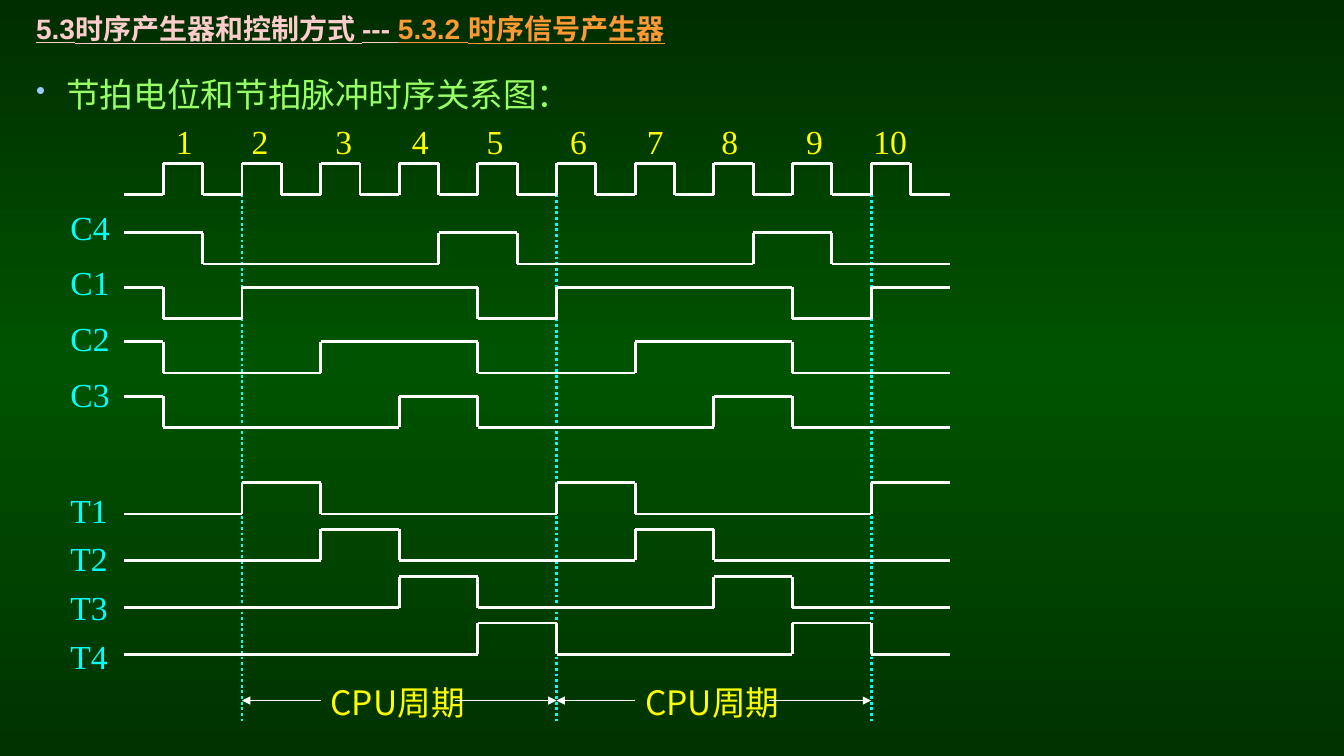
import copy
from dataclasses import dataclass

from lxml import etree
from pptx import Presentation
from pptx import util as u
from pptx.dml import color as dml
from pptx.enum import dml as line_styles, shapes, text
from pptx.oxml import ns

SCALE = 9144  # EMU in one px, 100 px to the inch
COLOURS = {
    "edge": "002E00", "middle": "005300", "bottom": "003300",
    "chapter": "FFCCCC", "section": "FF9933",
    "bullet": "99CCFF", "heading": "99FF66",
    "wave": "FFFFFF", "signal": "00FFFF", "number": "FFFF00",
}
SERIF, SANS, CHINESE = "Times New Roman", "Arial", "Noto Sans CJK SC"

# Time axis: half clock periods, numbered from the left end of the waves
WAVE_LEFT, HALF_PERIOD, LAST_STEP, WAVE_HEIGHT = 123, 39, 21, 31
CYCLE_STARTS = (3, 11, 19)
NUMBER_TABS = (66, 141, 224, 300, 374, 457, 533, 607, 691, 766)


@dataclass(frozen=True)
class Wave:
    top: int
    starts_high: bool
    toggles: tuple[int, ...]


@dataclass(frozen=True)
class Run:
    words: str
    colour: str
    font: str = SERIF
    size: int = 24
    bold: bool = False
    underline: bool = False


@dataclass(frozen=True)
class Line:
    runs: tuple[Run, ...]
    before: int = 0


WAVES = (
    Wave(162, False, tuple(range(1, LAST_STEP))),  # clock
    Wave(231, True, (2, 8, 10, 16, 18)),           # C4
    Wave(285, True, (1, 3, 9, 11, 17, 19)),        # C1
    Wave(339, True, (1, 5, 9, 13, 17)),            # C2
    Wave(393, True, (1, 7, 9, 15, 17)),            # C3
    Wave(479, False, (3, 5, 11, 13, 19)),          # T1
    Wave(525, False, (5, 7, 13, 15)),              # T2
    Wave(572, False, (7, 9, 15, 17)),              # T3
    Wave(618, False, (9, 11, 17, 19)),             # T4
)
# Signal names with the space before each, in points
SIGNALS = {"C4": 3, "C1": 11, "C2": 11, "C3": 11,
           "T1": 54, "T2": 6, "T3": 6, "T4": 6}


def px(length: int) -> u.Emu:
    return u.Emu(length * SCALE)


def rgb(name: str) -> dml.RGBColor:
    return dml.RGBColor.from_string(COLOURS[name])


def step_x(step: int) -> int:
    return WAVE_LEFT + HALF_PERIOD * step


def add_element(parent: etree._Element, tag: str, **attributes: str) -> etree._Element:
    return etree.SubElement(parent, ns.qn(tag), attributes)


def paint_background(slide) -> None:
    fill = slide.background.fill
    fill.gradient()
    fill.gradient_angle = 270
    stops = slide.element.find(".//" + ns.qn("a:gsLst"))
    stops.append(copy.deepcopy(stops[-1]))
    levels = (("edge", 0), ("middle", 0.48), ("bottom", 1))
    for stop, (name, position) in zip(fill.gradient_stops, levels):
        stop.color.rgb = rgb(name)
        stop.position = position


def add_text(slide, left: int, top: int, width: int, height: int,
             lines: list[Line], anchor=text.MSO_ANCHOR.TOP):
    shape = slide.shapes.add_textbox(px(left), px(top), px(width), px(height))
    frame = shape.text_frame
    frame.word_wrap = True
    frame.vertical_anchor = anchor
    for index, line in enumerate(lines):
        paragraph = frame.add_paragraph() if index else frame.paragraphs[0]
        paragraph.space_before = u.Pt(line.before)
        for item in line.runs:
            run = paragraph.add_run()
            run.text = item.words
            run.font.color.rgb = rgb(item.colour)
            formats = {"name": item.font, "size": u.Pt(item.size),
                       "bold": item.bold, "underline": item.underline}
            for attribute, value in formats.items():
                setattr(run.font, attribute, value)
            add_element(run.font._element, "a:ea", typeface=CHINESE)
    return frame


def add_line(slide, x1: int, y1: int, x2: int, y2: int, colour: str = "wave",
             width: float = 2, dash=None, arrow: bool = False) -> None:
    connector = slide.shapes.add_connector(
        shapes.MSO_CONNECTOR.STRAIGHT, px(x1), px(y1), px(x2), px(y2))
    connector.line.color.rgb = rgb(colour)
    formats = {"width": u.Pt(width), "dash_style": dash}
    for attribute, value in formats.items():
        setattr(connector.line, attribute, value)
    if arrow:
        outline = connector._element.spPr.find(ns.qn("a:ln"))
        add_element(outline, "a:tailEnd", type="triangle")
    add_element(connector._element.spPr, "a:effectLst")


def draw_wave(slide, wave: Wave) -> None:
    levels = {True: wave.top, False: wave.top + WAVE_HEIGHT}
    high, start = wave.starts_high, 0
    for step in (*wave.toggles, LAST_STEP):
        x = step_x(step)
        add_line(slide, step_x(start), levels[high], x, levels[high])
        if step < LAST_STEP:
            add_line(slide, x, levels[high], x, levels[not high])
        high, start = not high, step


def draw_headings(slide) -> None:
    style = {"font": SANS, "size": 20, "bold": True, "underline": True}
    add_text(slide, 26, 6, 969, 44, [Line((
        Run("5.3时序产生器和控制方式 --- ", "chapter", **style),
        Run("5.3.2 时序信号产生器", "section", **style),
    ))], text.MSO_ANCHOR.MIDDLE)

    frame = add_text(slide, 26, 68, 1281, 661,
                     [Line((Run("节拍电位和节拍脉冲时序关系图：", "heading"),))])
    properties = frame.paragraphs[0]._p.get_or_add_pPr()
    properties.set("marL", str(px(30)))
    properties.set("indent", str(px(-30)))
    bullet_colour = add_element(properties, "a:buClr")
    add_element(bullet_colour, "a:srgbClr", val=COLOURS["bullet"])
    add_element(properties, "a:buSzPct", val="80000")
    add_element(properties, "a:buChar", char="•")


def draw_labels(slide) -> None:
    # Clock pulse numbers, centred on tab stops
    numbers = "".join(f"\t{n}" for n, _ in enumerate(NUMBER_TABS, 1))
    frame = add_text(slide, 107, 115, 851, 50,
                     [Line((Run(numbers, "number"),), 2)])
    tabs = add_element(frame.paragraphs[0]._p.get_or_add_pPr(), "a:tabLst")
    for position in NUMBER_TABS:
        add_element(tabs, "a:tab", pos=str(px(position)), algn="ctr")

    # Signal names
    add_text(slide, 60, 200, 78, 503,
             [Line((Run(name, "signal"),), before)
              for name, before in SIGNALS.items()])


def draw_cycles(slide) -> None:
    for start, end in zip(CYCLE_STARTS, CYCLE_STARTS[1:]):
        left, right, y = step_x(start), step_x(end), 695
        add_text(slide, left + 78, 672, 170, 50,
                 [Line((Run("CPU周期", "number", CHINESE),))])
        add_line(slide, left + 78, y, left, y, width=0.75, arrow=True)
        add_line(slide, right - 101, y, right, y, width=0.75, arrow=True)


def main() -> None:
    presentation = Presentation()
    presentation.slide_width, presentation.slide_height = px(1333), px(750)
    slide = presentation.slides.add_slide(presentation.slide_layouts[6])
    paint_background(slide)
    draw_headings(slide)
    for step in CYCLE_STARTS:
        add_line(slide, step_x(step), 193, step_x(step), 718, "signal",
                 dash=line_styles.MSO_LINE.ROUND_DOT)
    for wave in WAVES:
        draw_wave(slide, wave)
    draw_labels(slide)
    draw_cycles(slide)
    presentation.save("out.pptx")


if __name__ == "__main__":
    main()
